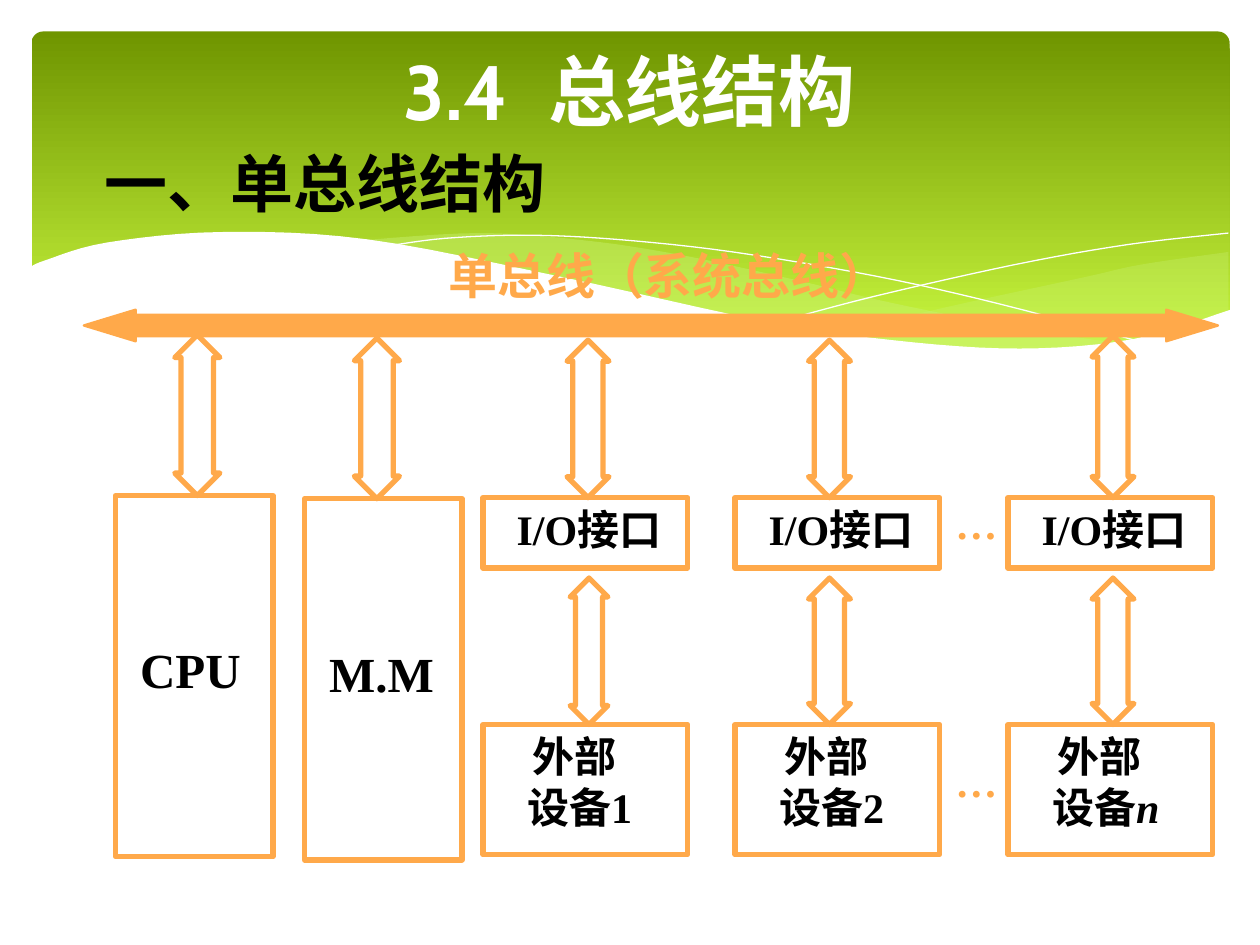
from lxml.etree import SubElement
from pptx import Presentation
from pptx.dml.color import RGBColor
from pptx.enum.shapes import MSO_SHAPE as SHAPE
from pptx.enum.text import MSO_ANCHOR as ANCHOR, PP_ALIGN as ALIGN
from pptx.oxml.ns import qn
from pptx.util import Inches, Pt

# Grid of 120 columns by 90 rows
WIDTH, HEIGHT = Inches(10), Inches(7.5)
COLS, ROWS = 120, 90
COLOR = {"orange": "FFA94A", "black": "000000", "white": "FFFFFF",
         "green": "6F9500", "lime": "D0FF44", "pale": "CAF278"}
SERIF, SANS, TITLE = "Times New Roman", "Noto Sans CJK SC", "Cabin"
INSET = (1.2, 0.6, 1.2, 0.6)


def rgb(name):
    return RGBColor.from_string(COLOR[name])


def col(n):
    return int(n * WIDTH / COLS)


def row(n):
    return int(n * HEIGHT / ROWS)


def place(box):
    x, y, w, h = box
    return col(x), row(y), col(w), row(h)


def write(s, lines, size=24, font=SERIF, color="black", align=ALIGN.LEFT,
          anchor=ANCHOR.TOP, inset=INSET, wrap=True, first=0):
    """Each line is a list of (text, italic, letter spacing in points)."""
    tf = s.text_frame
    tf.word_wrap, tf.vertical_anchor = wrap, anchor
    tf.margin_left, tf.margin_right = col(inset[0]), col(inset[2])
    tf.margin_top, tf.margin_bottom = row(inset[1]), row(inset[3])
    for i, runs in enumerate(lines):
        p = tf.add_paragraph() if i else tf.paragraphs[0]
        p.alignment = align
        if first and i == 0:
            p._p.get_or_add_pPr().set("indent", str(col(first)))
        for text, italic, spacing in runs:
            r = p.add_run()
            r.text = text
            r.font.size, r.font.name, r.font.bold = Pt(size), font, True
            r.font.italic = italic or None
            r.font.color.rgb = rgb(color)
            rPr = r.font._element
            SubElement(rPr, qn("a:ea")).set("typeface", SANS)
            if spacing:
                rPr.set("spc", str(spacing * 100))


def plain(text):
    return [(text, False, 0)]


def label(sp, box, lines, **fmt):
    write(sp.add_textbox(*place(box)), lines, **fmt)


def paint(s, fill=None, line=None, width=3.0, alpha=None):
    s.shadow.inherit = False
    if fill:
        s.fill.solid()
        s.fill.fore_color.rgb = rgb(fill)
        if alpha:
            clr = s.fill._xPr.find(".//" + qn("a:srgbClr"))
            SubElement(clr, qn("a:alpha")).set("val", str(alpha * 1000))
    else:
        s.fill.background()
    if line:
        s.line.color.rgb, s.line.width = rgb(line), Pt(width)
    else:
        s.line.fill.background()


def spline(knots, steps=6):
    """Smooth curve through the knots (Catmull-Rom)."""
    k = [knots[0], *knots, knots[-1]]
    curve = [knots[0]]
    for a, b, c, d in zip(k, k[1:], k[2:], k[3:]):
        for n in range(1, steps + 1):
            t = n / steps
            curve.append(tuple(
                b[i] + (c[i] - a[i]) * t / 2
                + (2 * a[i] - 5 * b[i] + 4 * c[i] - d[i]) * t ** 2 / 2
                + (3 * b[i] - a[i] - 3 * c[i] + d[i]) * t ** 3 / 2
                for i in (0, 1)))
    return curve


def outline(sp, points, close=True, **style):
    pts = [(col(x), row(y)) for x, y in points]
    fb = sp.build_freeform(*pts[0], scale=1.0)
    fb.add_line_segments(pts[1:], close=close)
    paint(fb.convert_to_shape(), **style)


def backdrop(sp, box):
    """Green panel with waves across its lower edge."""
    s = sp.add_shape(SHAPE.ROUNDED_RECTANGLE, *place(box))
    paint(s)
    s.adjustments[0] = 0.034
    s.fill.gradient()
    s.fill.gradient_angle = 270
    for stop, name, pos in zip(s.fill.gradient_stops, ("green", "lime"), (0, 1)):
        stop.color.rgb, stop.position = rgb(name), pos

    # Knots are offsets from the panel's corner
    def curve(*knots):
        return spline([(box[0] + x, box[1] + y) for x, y in knots])

    # Translucent waves
    right = (curve((114, 21), (105.7, 22.2), (100.3, 23.4), (87.4, 26.2), (76.3, 28.8))
             + curve((76.3, 28.8), (84.8, 29.9), (94.7, 30.4), (103.7, 29.8),
                     (110.9, 27.8), (114, 26.6)))
    middle = (curve((104.2, 29.8), (93.8, 28.2), (81.7, 25.8), (72.5, 23.6),
                    (61.9, 21.3), (52.7, 19.9), (42.6, 19.2), (31.3, 19.9))
              + curve((31.3, 19.9), (40.4, 21.3), (50.9, 23.6), (64.9, 26.8),
                      (75, 28.7), (85.3, 30.1), (95.2, 30.5), (104.2, 29.8)))
    outline(sp, right, fill="pale", alpha=29)
    outline(sp, middle, fill="pale", alpha=40)

    # Hairlines
    falling = curve((34.1, 20.4), (39.4, 19.7), (47, 19.4), (55.7, 19.8),
                    (66.8, 21), (80.4, 23.3), (92.4, 26), (105.8, 29.6))
    rising = curve((70.6, 27.8), (80.4, 25.2), (93.7, 22.2), (104.4, 20.3), (114, 19.2))
    for line in (falling, rising):
        outline(sp, line, close=False, line="white", width=0)

    # White wave that cuts the panel off
    crest = curve((-0.2, 22.5), (1.3, 21.8), (7.2, 20.1), (18.1, 19.1), (32, 19.8),
                  (50.6, 23.4), (69.4, 27.5), (82, 29.4), (94.1, 30.2),
                  (104.9, 29.3), (114.2, 26.5))
    floor = box[1] + 36.5
    outline(sp, crest + [(crest[-1][0], floor), (crest[0][0], floor)], fill="white")


def headings(sp, box):
    x, y, w, h = box
    label(sp, (x, y, w, 15), [[("3.4", False, 0), (" ", False, 13), ("总线结构", False, 0)]],
          size=44, font=TITLE, color="white", align=ALIGN.CENTER, anchor=ANCHOR.MIDDLE)
    label(sp, (x - 0.2, y + 12.2, 60, h - 12.2), [plain("一、单总线结构")], size=36)


def bus(sp, box):
    x, y, w, h = box
    label(sp, (x + 34.7, y - 6.1, 42, 5.6), [plain("单总线（系统总线）")], size=28,
          font=SANS, color="orange", inset=(0, 0, 0, 0), wrap=False)
    s = sp.add_shape(SHAPE.LEFT_RIGHT_ARROW, *place(box))
    s.adjustments[0], s.adjustments[1] = 0.68, 1.64
    paint(s, fill="orange", line="orange", width=1.39)


def link(sp, center, top, bottom, width=4):
    s = sp.add_shape(SHAPE.UP_DOWN_ARROW,
                     *place((center - width / 2, top, width, bottom - top)))
    s.adjustments[0], s.adjustments[1] = 0.5, 0.72
    paint(s, line="orange")


def block(sp, box, lines, **fmt):
    s = sp.add_shape(SHAPE.RECTANGLE, *place(box))
    paint(s, line="orange")
    write(s, lines, **fmt)


def core_unit(sp, box, name, center, top):
    """Tall block joined straight to the bus."""
    link(sp, center, top, box[1], width=4.3)
    block(sp, box, [plain(name)], size=28, anchor=ANCHOR.MIDDLE,
          inset=(2.35, 0.6, 1.2, 1.9))


def io_channel(sp, box, number, center, top):
    """Interface above its device."""
    x, y, w, h = box
    port_h, device_h = 6.7, 12.4
    device_y = y + h - device_h
    link(sp, center, top, y)
    block(sp, (x, y, w, port_h), [plain("I/O接口")], inset=(3.2, 0.6, 0, 0.6))
    link(sp, center + (0.1 if number == "1" else 0), y + 7.65, device_y,
         width=3.6 if number == "1" else 4)
    device = [("设备", False, 0), (number, number.isalpha(), 0)]
    block(sp, (x, device_y, w, device_h), [plain("外部"), device],
          inset=(4.2, 0.6, 1.2, 0.6), first=0.5)


def dots(sp, box):
    label(sp, box, [plain("…")], color="orange", inset=(0, 0, 0, 0))


def main():
    prs = Presentation()
    prs.slide_width, prs.slide_height = WIDTH, HEIGHT
    sp = prs.slides.add_slide(prs.slide_layouts[6]).shapes

    backdrop(sp, (3, 3, 114.1, 32.4))
    headings(sp, (9, 1, 102, 20.6))
    bus(sp, (8, 29.5, 108, 3))

    for name, x, y, center, top in (("CPU", 11, 47.2, 18.8, 31.9),
                                    ("M.M", 29, 47.5, 35.9, 32.2)):
        core_unit(sp, (x, y, 15, 34.4), name, center, top)
    for number, x, center, top in (("1", 46, 56, 32.4), ("2", 70, 79, 32.4),
                                   ("n", 96, 106, 32)):
        io_channel(sp, (x, 47.4, 19.5, 34), number, center, top)
    for y in (47.4, 72):
        dots(sp, (91, y, 5, 4.8))

    prs.save("out.pptx")


if __name__ == "__main__":
    main()
